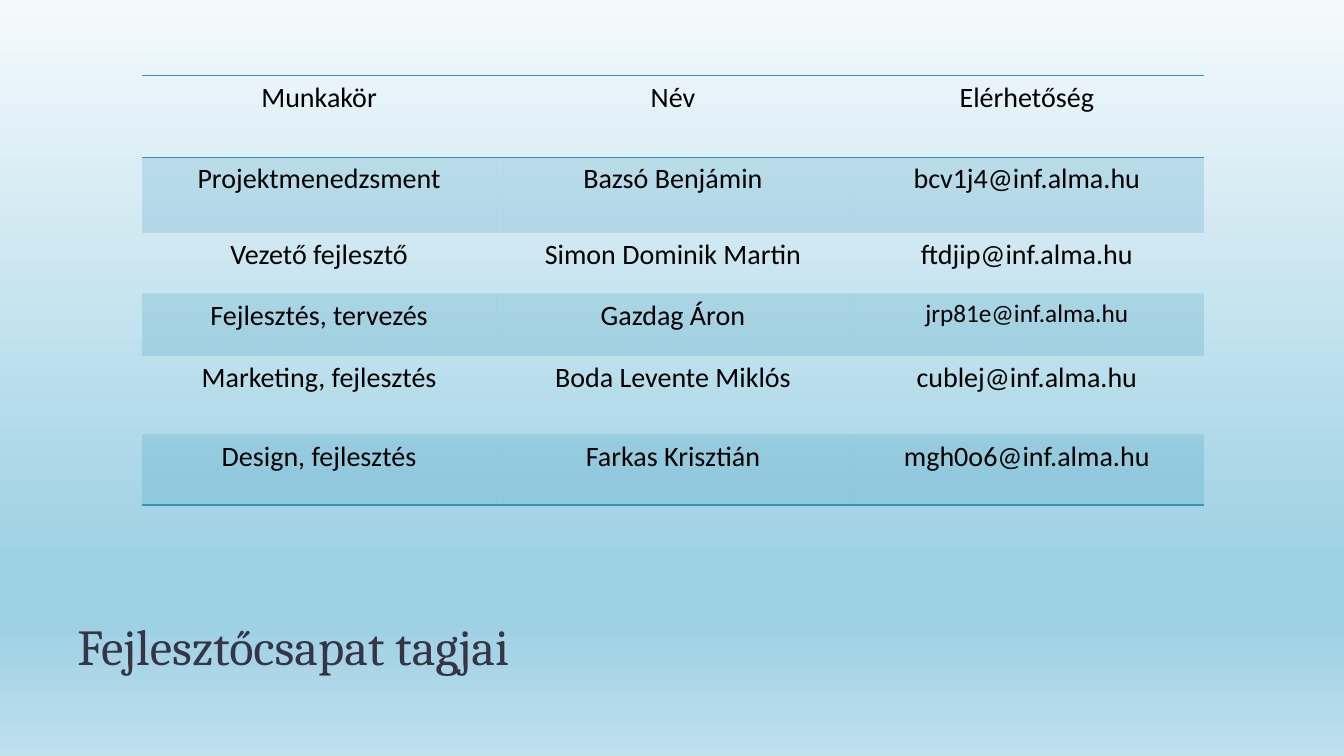
from copy import deepcopy
from dataclasses import dataclass

from lxml import etree
from pptx import Presentation
from pptx.dml.color import RGBColor
from pptx.enum.text import MSO_ANCHOR, PP_ALIGN
from pptx.oxml.ns import qn
from pptx.util import Inches, Pt

CENTER = PP_ALIGN.CENTER
BOTTOM = MSO_ANCHOR.BOTTOM
NO_STYLE_NO_GRID = "{2D5ABB26-0587-4C30-8999-92F81FD0307C}"


@dataclass(frozen=True)
class Theme:
    """Colours, fonts and type sizes of the slide."""
    accent: str = "3494BA"
    title_color: str = "373545"
    text_color: str = "000000"
    title_font: str = "Cambria"
    body_font: str = "Calibri"
    title_size: int = 36
    body_size: int = 20
    small_size: int = 18
    band_opacity: int = 20
    rule_width: int = 1
    sky: tuple = ((0, "F4FAFC"), (0.74, "9FD1E4"), (0.83, "9FD1E4"), (1, "BFE0ED"))


@dataclass(frozen=True)
class TeamRow:
    """One table row with its height in inches."""
    height: float
    role: str
    name: str
    contact: str
    contact_size: int = Theme.body_size


THEME = Theme()
TEAM = (
    TeamRow(0.81, "Munkakör", "Név", "Elérhetőség"),
    TeamRow(0.75, "Projektmenedzsment", "Bazsó Benjámin", "bcv1j4@inf.alma.hu"),
    TeamRow(0.6, "Vezető fejlesztő", "Simon Dominik Martin", "ftdjip@inf.alma.hu"),
    TeamRow(0.62, "Fejlesztés, tervezés", "Gazdag Áron", "jrp81e@inf.alma.hu",
            THEME.small_size),
    TeamRow(0.78, "Marketing, fejlesztés", "Boda Levente Miklós", "cublej@inf.alma.hu"),
    TeamRow(0.7, "Design, fejlesztés", "Farkas Krisztián", "mgh0o6@inf.alma.hu"),
)


def style_font(para, name: str, size: int, color: str) -> None:
    """Set the font of a whole paragraph."""
    para.font.name = name
    para.font.size = Pt(size)
    para.font.color.rgb = RGBColor.from_string(color)


def paint_background(page) -> None:
    """Fill the page with the vertical sky gradient."""
    fill = page.background.fill
    fill.gradient()
    fill.gradient_angle = 270
    stop_list = next(page.element.iter(qn("a:gsLst")))
    while len(stop_list) < len(THEME.sky):
        stop_list.append(deepcopy(stop_list[0]))
    for stop, (position, color) in zip(fill.gradient_stops, THEME.sky):
        stop.position = position
        stop.color.rgb = RGBColor.from_string(color)


def add_title(page, text: str) -> None:
    """Add the title at the bottom of the page."""
    box = page.shapes.add_textbox(Inches(0.67), Inches(5.58), Inches(12), Inches(1.17))
    frame = box.text_frame
    frame.word_wrap = True
    frame.vertical_anchor = BOTTOM
    para = frame.paragraphs[0]
    para.text = text
    para.line_spacing = 0.8
    style_font(para, THEME.title_font, THEME.title_size, THEME.title_color)


def fill_band(cell) -> None:
    """Tint a cell with the translucent accent colour."""
    cell.fill.solid()
    cell.fill.fore_color.rgb = RGBColor.from_string(THEME.accent)
    color = next(cell._tc.tcPr.iter(qn("a:srgbClr")))
    etree.SubElement(color, qn("a:alpha"), val=str(THEME.band_opacity * 1000))


def add_rules(cell, sides: str) -> None:
    """Draw accent borders on the given sides, in the order T, B."""
    properties = cell._tc.get_or_add_tcPr()
    for index, side in enumerate(sides):
        line = etree.Element(qn(f"a:ln{side}"), w=str(Pt(THEME.rule_width)))
        solid = etree.SubElement(line, qn("a:solidFill"))
        etree.SubElement(solid, qn("a:srgbClr"), val=THEME.accent)
        properties.insert(index, line)


def add_team_table(page) -> None:
    """Add the team table with banded rows and horizontal rules."""
    height = sum(member.height for member in TEAM)
    frame = page.shapes.add_table(len(TEAM), 3, Inches(1.41), Inches(0.75),
                                  Inches(10.53), Inches(height))
    table = frame.table
    table.first_row = table.horz_banding = False
    next(table._tbl.iter(qn("a:tableStyleId"))).text = NO_STYLE_NO_GRID
    rules = {0: "TB", len(TEAM) - 1: "B"}
    for index, (row, member) in enumerate(zip(table.rows, TEAM)):
        row.height = Inches(member.height)
        entries = ((member.role, THEME.body_size), (member.name, THEME.body_size),
                   (member.contact, member.contact_size))
        for cell, (text, size) in zip(row.cells, entries):
            para = cell.text_frame.paragraphs[0]
            para.text = text
            para.alignment = CENTER
            style_font(para, THEME.body_font, size, THEME.text_color)
            if index % 2:
                fill_band(cell)
            else:
                cell.fill.background()
            add_rules(cell, rules.get(index, ""))


def main() -> None:
    """Build and save the deck."""
    deck = Presentation()
    deck.slide_width, deck.slide_height = Inches(13.33), Inches(7.5)
    page = deck.slides.add_slide(deck.slide_layouts[6])
    paint_background(page)
    add_title(page, "Fejlesztőcsapat tagjai")
    add_team_table(page)
    deck.save("out.pptx")


main()
